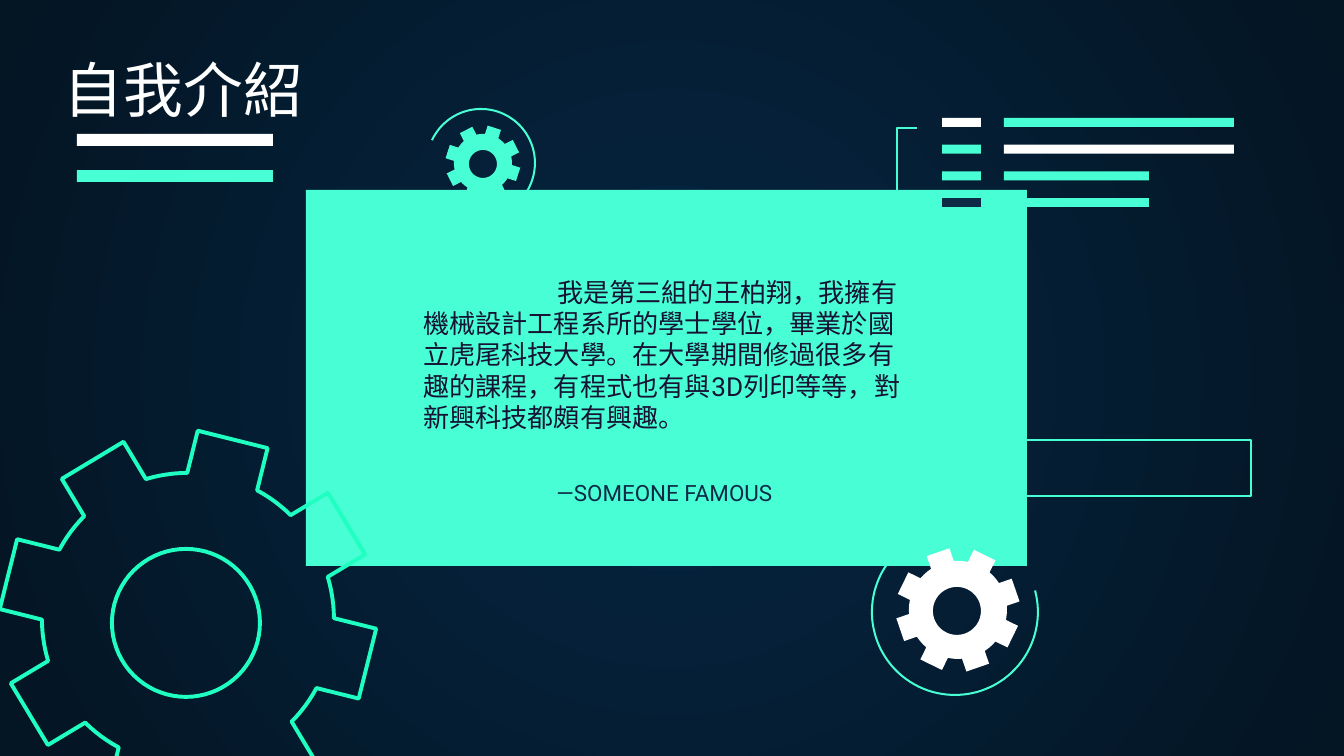
from math import cos, sin, radians, hypot, atan2, degrees

from lxml.etree import SubElement
from pptx import Presentation
from pptx.dml.color import RGBColor
from pptx.enum.shapes import MSO_SHAPE
from pptx.enum.text import MSO_ANCHOR, PP_ALIGN
from pptx.oxml.ns import qn
from pptx.util import Pt

PX = 914400 / 134.4
MINT, WHITE, NAVY = "48FFD5", "FFFFFF", "0E2A47"
INTRO = ("我是第三組的王柏翔，我擁有機械設計工程系所的學士學位，畢業於國立虎尾科技大學。"
         "在大學期間修過很多有趣的課程，有程式也有與3D列印等等，對新興科技都頗有興趣。")


def emu(num):
    return round(num * PX)


def rgb(code):
    return RGBColor.from_string(code)


def paint(shape, fill=None, line=None, width=1.09):
    shape.shadow.inherit = False
    if fill:
        shape.fill.solid()
        shape.fill.fore_color.rgb = rgb(fill)
    else:
        shape.fill.background()
    if line:
        shape.line.color.rgb = rgb(line)
        shape.line.width = Pt(width)
    else:
        shape.line.fill.background()


def backdrop(slide, inner, outer):
    """Fill the slide with a gradient spreading in circles from its centre."""
    fill = slide.background.fill
    fill.gradient()
    for stop, code in zip(fill.gradient_stops, (inner, outer)):
        stop.color.rgb = rgb(code)
    grad = slide.element.find(".//" + qn("a:gradFill"))
    grad.remove(grad.find(qn("a:lin")))
    path = SubElement(grad, qn("a:path"), path="circle")
    SubElement(path, qn("a:fillToRect"), l="50000", t="50000", r="50000", b="50000")


def box(slide, x, y, w, h, **look):
    shape = slide.shapes.add_shape(MSO_SHAPE.RECTANGLE, *map(emu, (x, y, w, h)))
    paint(shape, **look)


def sweep(x, y, radius, start, end, count):
    """Points along a circle, clockwise from start to end in degrees."""
    turns = [radians(start + (end - start) * i / count) for i in range(count + 1)]
    return [(x + radius * cos(t), y + radius * sin(t)) for t in turns]


def trace(slide, paths, close, **look):
    paths = [[(emu(x), emu(y)) for x, y in path] for path in paths]
    build = slide.shapes.build_freeform(*paths[0][0], scale=1)
    for i, path in enumerate(paths):
        if i:
            build.move_to(*path[0])
        build.add_line_segments(path[1:], close=close)
    paint(build.convert_to_shape(), **look)


def arc(slide, x, y, radius, start, end):
    trace(slide, [sweep(x, y, radius, start, end, 72)], False, line=MINT)


def gear(slide, hub, hole, turn, tip, body, half, bore, **look):
    """Eight teeth around hub; tip is the reach of a tooth, half its half width."""
    x, y = hub
    base = (body ** 2 - half ** 2) ** 0.5
    edge = degrees(atan2(half, base))
    rim = []
    for angle in (turn + 45 * i for i in range(8)):
        c, s = cos(radians(angle)), sin(radians(angle))
        rim += [(x + tip * c - side * s, y + tip * s + side * c)
                for side in (-half, half)]
        rim += sweep(x, y, hypot(base, half), angle + edge, angle + 45 - edge, 6)
    trace(slide, [rim, sweep(*hole, bore, 0, 355, 71)], True, **look)


def label(slide, place, text, size, font, color, align, anchor=MSO_ANCHOR.TOP,
          inset=13, indent=0):
    frame = slide.shapes.add_textbox(*map(emu, place)).text_frame
    frame.word_wrap = True
    frame.vertical_anchor = anchor
    frame.margin_left = frame.margin_right = emu(inset)
    frame.margin_top = frame.margin_bottom = emu(min(inset, 13))
    para = frame.paragraphs[0]
    para.text = text
    para.alignment = align
    if indent:
        para._p.get_or_add_pPr().set("indent", str(emu(indent)))
    para.font.size = Pt(size)
    para.font.name = font
    para.font.color.rgb = rgb(color)


def main():
    deck = Presentation()
    deck.slide_width, deck.slide_height = emu(1344), emu(756)
    slide = deck.slides.add_slide(deck.slide_layouts[6])
    backdrop(slide, "052643", "041523")
    box(slide, 306, 190, 721, 376, fill=MINT)

    arc(slide, 481, 163, 54, 205, 455)
    arc(slide, 955, 612, 83, -15, 233)
    gear(slide, (188, 619), (186, 623), 14, 185, 146, 36, 74,
         line="1EFFC1", width=2.1)
    gear(slide, (958, 610), (957, 611), 26, 61, 49, 12, 24, fill=WHITE)
    gear(slide, (483, 163), (483, 164), 18, 37, 29, 7, 14, fill=MINT)

    rows = [(WHITE, MINT, 230), (MINT, WHITE, 230), (MINT, MINT, 145), (NAVY, MINT, 145)]
    for i, (key, bar, width) in enumerate(rows):
        y = 118 + 26.7 * i
        box(slide, 942, y, 39, 9, fill=key)
        box(slide, 1004, y, width, 9, fill=bar)
    trace(slide, [[(918, 209), (897, 209), (897, 128), (917, 128)]], False, line=MINT)
    for y, color in ((134, WHITE), (170, MINT)):
        box(slide, 77, y, 196, 12, fill=color)
    box(slide, 968, 440, 283, 56, line=MINT)

    label(slide, (405, 234, 519, 285), "—SOMEONE FAMOUS", 12, "Roboto", NAVY,
          PP_ALIGN.CENTER, MSO_ANCHOR.BOTTOM)
    label(slide, (410, 263, 508, 208), INTRO, 14, "Roboto", "161234",
          PP_ALIGN.LEFT, indent=134)
    label(slide, (0, 46, 367, 86), "自我介紹", 32, "Arial", WHITE,
          PP_ALIGN.CENTER, inset=7)
    deck.save("out.pptx")


if __name__ == "__main__":
    main()
